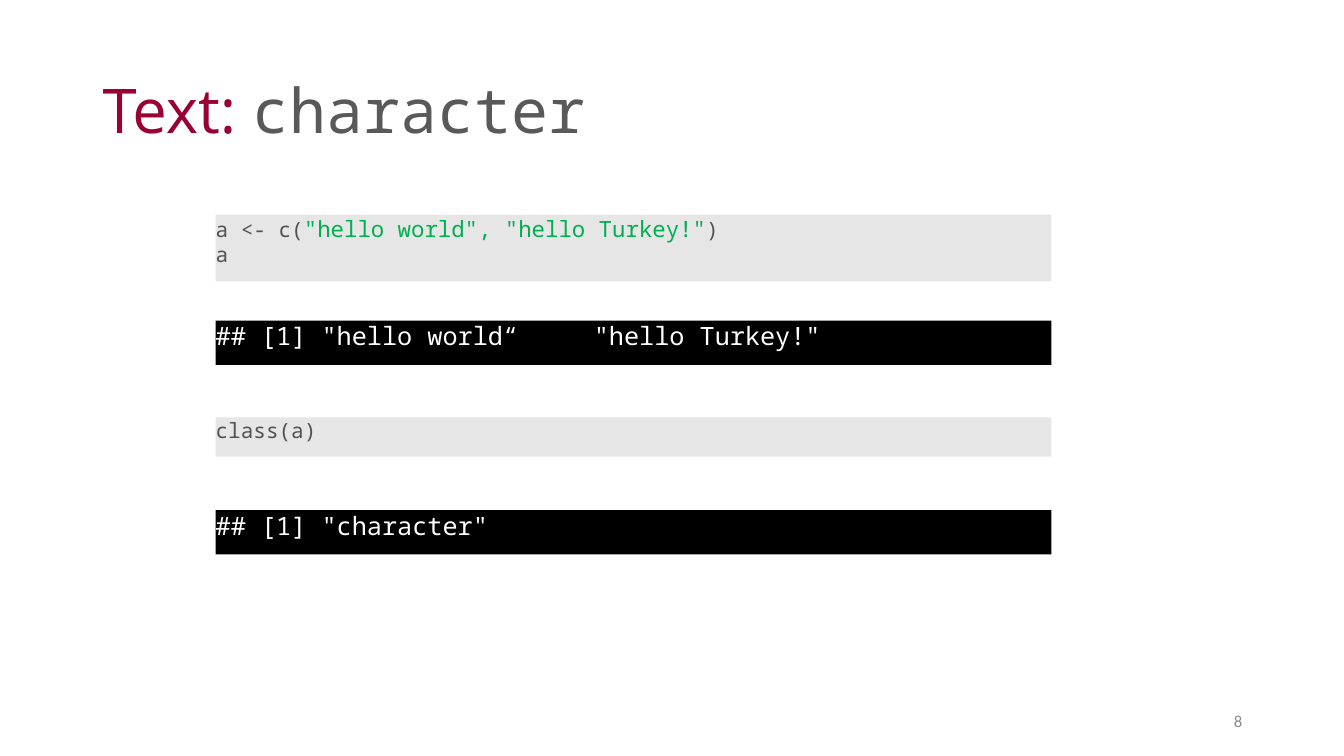
from typing import NamedTuple

import pptx
import pptx.dml.color
import pptx.enum.shapes
import pptx.enum.text
import pptx.oxml
import pptx.oxml.ns
import pptx.util

RGBColor = pptx.dml.color.RGBColor
CRIMSON = RGBColor(0x99, 0x00, 0x33)
TITLE_GREY = RGBColor(0x59, 0x59, 0x59)
CODE_GREY = RGBColor(0x51, 0x51, 0x51)
STRING_GREEN = RGBColor(0x00, 0xB0, 0x50)
NUMBER_GREY = RGBColor(0x8C, 0x8C, 0x8C)
INPUT_FILL = RGBColor(0xE6, 0xE6, 0xE6)
OUTPUT_FILL = RGBColor(0x00, 0x00, 0x00)
WHITE = RGBColor(0xFF, 0xFF, 0xFF)

SANS, MONO, BODY = "Open Sans", "Noto Sans Mono", "Calibri"
SLIDE_WIDTH = pptx.util.Inches(13.33)
SLIDE_HEIGHT = pptx.util.Inches(7.5)
PANEL_LEFT, PANEL_WIDTH = 16.05, 62.19  # percent of slide width
SECOND_VALUE_TAB = pptx.util.Inches(3.75)


class Style(NamedTuple):
    """Font, size in points and colour of a piece of text."""
    font: str
    size: int
    color: RGBColor


class Span(NamedTuple):
    """A piece of text with its style."""
    text: str
    style: Style


class Area(NamedTuple):
    """A rectangle in percent of the slide's width and height."""
    left: float
    top: float
    width: float
    height: float

    def lengths(self) -> tuple[int, ...]:
        """Return left, top, width and height in slide units."""
        sides = (SLIDE_WIDTH, SLIDE_HEIGHT) * 2
        return tuple(round(share * side / 100) for share, side in zip(self, sides))


class Panel(NamedTuple):
    """A console block: its place, fill and lines of spans."""
    top: float
    height: float
    fill: RGBColor
    lines: list[list[Span]]


CODE = Style(MONO, 15, CODE_GREY)
STRING = Style(MONO, 16, STRING_GREEN)
RESULT = Style(MONO, 18, WHITE)

TITLE = [Span("Text: ", Style(SANS, 44, CRIMSON)),
         Span("character", Style(MONO, 44, TITLE_GREY))]
PANELS = [
    Panel(28.4, 8.8, INPUT_FILL, [
        [Span("a <- c(", CODE),
         Span('"hello world", "hello Turkey!"', STRING),
         Span(")", CODE)],
        [Span("a", CODE)]]),
    Panel(42.4, 5.87, OUTPUT_FILL,
          [[Span('## [1] "hello world“\t"hello Turkey!"', RESULT)]]),
    Panel(55.2, 5.2, INPUT_FILL, [[Span("class(a)", CODE)]]),
    Panel(67.47, 5.87, OUTPUT_FILL, [[Span('## [1] "character"', RESULT)]]),
]


def set_font(font, style: Style) -> None:
    """Apply a style to the font of a paragraph or run."""
    font.name = style.font
    font.size = pptx.util.Pt(style.size)
    font.color.rgb = style.color


def add_tab_stop(para, position: int) -> None:
    """Give a paragraph one left tab stop."""
    properties = para._p.get_or_add_pPr()
    namespace = pptx.oxml.ns.nsdecls("a")
    stops = pptx.oxml.parse_xml(
        f'<a:tabLst {namespace}><a:tab pos="{position}" algn="l"/></a:tabLst>')
    properties.insert(0, stops)


def write_line(para, spans: list[Span]) -> None:
    """Write spans, styling the paragraph when all of them agree."""
    para.alignment = pptx.enum.text.PP_ALIGN.LEFT
    uniform = len({span.style for span in spans}) == 1
    if uniform:
        set_font(para.font, spans[0].style)
    for span in spans:
        run = para.add_run()
        run.text = span.text
        if not uniform:
            set_font(run.font, span.style)
        if "\t" in span.text:
            add_tab_stop(para, SECOND_VALUE_TAB)


def add_text(page, area: Area, spans: list[Span]):
    """Add a vertically centred text box and return its paragraph."""
    frame = page.shapes.add_textbox(*area.lengths()).text_frame
    frame.word_wrap = True
    frame.vertical_anchor = pptx.enum.text.MSO_ANCHOR.MIDDLE
    para = frame.paragraphs[0]
    write_line(para, spans)
    return para


def add_panel(page, panel: Panel) -> None:
    """Add a filled console block with its lines of code."""
    area = Area(PANEL_LEFT, panel.top, PANEL_WIDTH, panel.height)
    box = page.shapes.add_shape(
        pptx.enum.shapes.MSO_SHAPE.RECTANGLE, *area.lengths())
    box.shadow.inherit = False
    box.fill.solid()
    box.fill.fore_color.rgb = panel.fill
    box.line.fill.background()
    frame = box.text_frame
    frame.word_wrap = True
    frame.auto_size = pptx.enum.text.MSO_AUTO_SIZE.SHAPE_TO_FIT_TEXT
    frame.vertical_anchor = pptx.enum.text.MSO_ANCHOR.MIDDLE
    frame.margin_left = frame.margin_top = frame.margin_right = 0
    frame.margin_bottom = pptx.util.Inches(0.14)
    for index, line in enumerate(panel.lines):
        para = frame.add_paragraph() if index else frame.paragraphs[0]
        write_line(para, line)


def main() -> None:
    """Build the slide and save it."""
    deck = pptx.Presentation()
    deck.slide_width, deck.slide_height = SLIDE_WIDTH, SLIDE_HEIGHT
    page = deck.slides.add_slide(deck.slide_layouts[6])

    title = add_text(page, Area(6.9, 5.33, 86.27, 19.33), TITLE)
    title.line_spacing = 0.9
    for panel in PANELS:
        add_panel(page, panel)
    number = add_text(page, Area(70.67, 92.67, 22.5, 5.33),
                      [Span("8", Style(BODY, 12, NUMBER_GREY))])
    number.alignment = pptx.enum.text.PP_ALIGN.RIGHT

    deck.save("out.pptx")


main()
